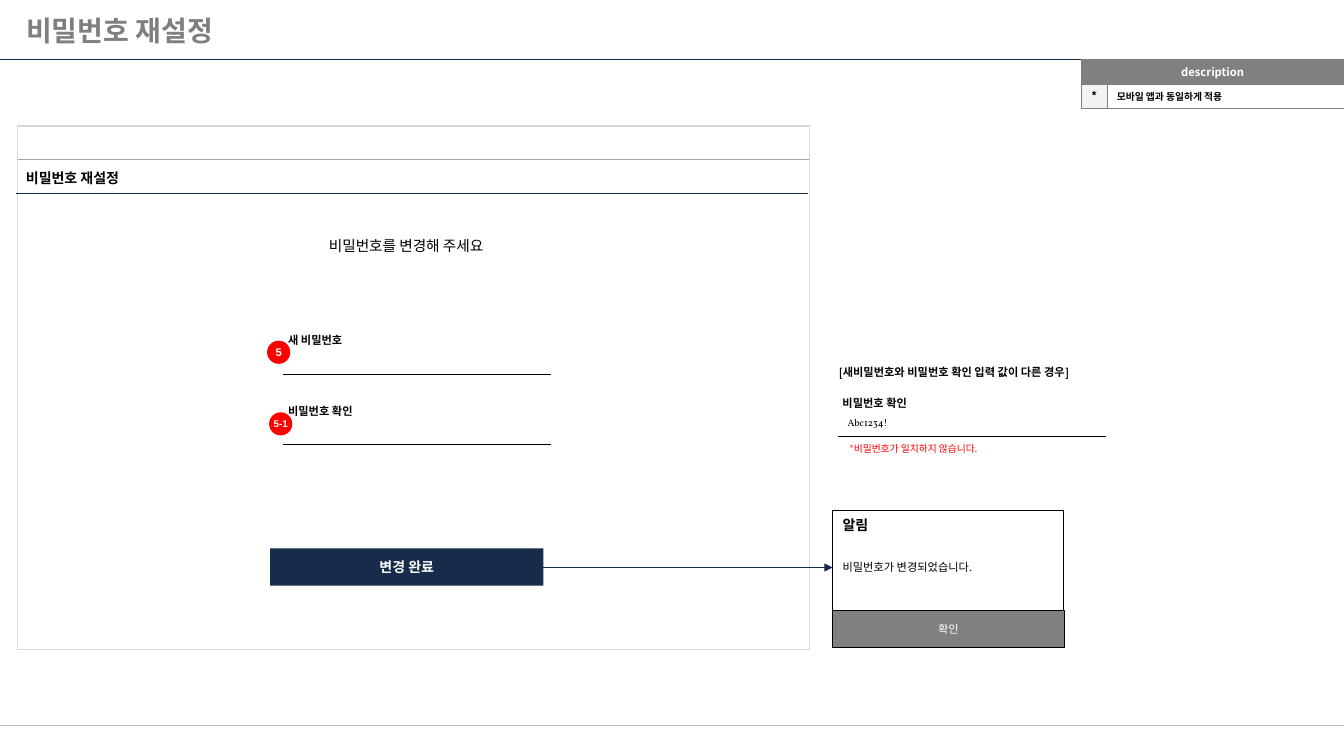
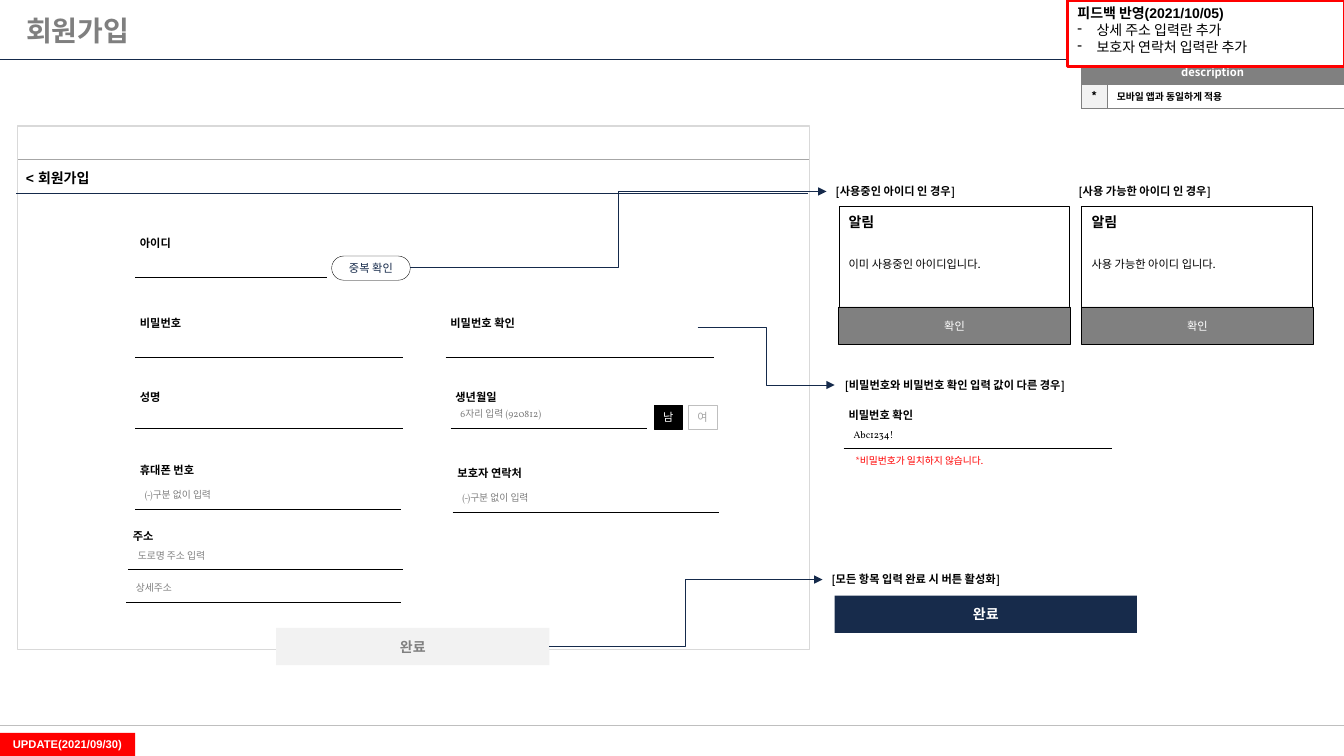
from lxml import etree
from pptx import Presentation
from pptx.dml.color import RGBColor
from pptx.enum.shapes import MSO_CONNECTOR, MSO_SHAPE
from pptx.enum.text import MSO_ANCHOR, PP_ALIGN
from pptx.oxml.ns import qn
from pptx.util import Inches, Pt

RECTANGLE, ROUNDED, OVAL = MSO_SHAPE.RECTANGLE, MSO_SHAPE.ROUNDED_RECTANGLE, MSO_SHAPE.OVAL
STRAIGHT, ELBOW = MSO_CONNECTOR.STRAIGHT, MSO_CONNECTOR.ELBOW
TOP, MIDDLE = MSO_ANCHOR.TOP, MSO_ANCHOR.MIDDLE
LEFT, CENTER = PP_ALIGN.LEFT, PP_ALIGN.CENTER

COLORS = {
    "white": "FFFFFF", "black": "000000", "navy": "172B4B", "rule": "152A4B",
    "title": "7F7F7F", "gray": "808080", "muted": "A6A6A6", "silver": "BFBFBF",
    "border": "D9D9D9", "pale": "F2F2F2", "red": "FF0000",
}
TITLE_FONT, UI_FONT, NOTE_FONT, TABLE_FONT = (
    "League Spartan", "Vollkorn", "Arial", "Noto Sans CJK KR")
COLUMNS, ROWS = 133.33, 75  # grid cells of a tenth of an inch
HAIRLINE = 0.25


def grid(*cells):
    """Turn grid columns or rows into lengths."""
    return [Inches(cell / 10) for cell in cells]


def color(name):
    return RGBColor.from_string(COLORS[name])


class Wireframe:
    """Holds the presentation, the current slide and the shared style."""

    def __init__(self):
        self.presentation = Presentation()
        self.presentation.slide_width, self.presentation.slide_height = grid(COLUMNS, ROWS)
        self.slide = None

    # Basic elements
    def style(self, paragraph, size, ink="black", bold=False, font=UI_FONT, align=LEFT):
        paragraph.alignment = align
        paragraph.font.size = Pt(size)
        paragraph.font.bold = bold
        paragraph.font.name = font
        paragraph.font.color.rgb = color(ink)

    def text(self, x, y, width, words, size=8, height=2.4, **style):
        frame = self.slide.shapes.add_textbox(*grid(x, y, width, height)).text_frame
        frame.word_wrap = True
        frame.text = words
        self.style(frame.paragraphs[0], size, **style)

    def box(self, x, y, width, height, fill, border=None, weight=HAIRLINE,
            kind=RECTANGLE, corner=None):
        shape = self.slide.shapes.add_shape(kind, *grid(x, y, width, height))
        shape.shadow.inherit = False
        shape.fill.solid()
        shape.fill.fore_color.rgb = color(fill)
        if border:
            shape.line.color.rgb = color(border)
            shape.line.width = Pt(weight)
        else:
            shape.line.fill.background()
        if corner is not None:
            shape.adjustments[0] = corner
        return shape

    def button(self, x, y, width, height, words, fill, ink="white", size=8,
               bold=False, font=UI_FONT, **outline):
        frame = self.box(x, y, width, height, fill, **outline).text_frame
        frame.margin_left = frame.margin_right = frame.margin_top = frame.margin_bottom = 0
        frame.vertical_anchor = MIDDLE
        frame.text = words
        self.style(frame.paragraphs[0], size, ink, bold, font, CENTER)

    def line(self, x1, y1, x2, y2, ink="black", weight=HAIRLINE, kind=STRAIGHT):
        connector = self.slide.shapes.add_connector(kind, *grid(x1, y1, x2, y2))
        connector.line.color.rgb = color(ink)
        connector.line.width = Pt(weight)
        etree.SubElement(connector._element.spPr, qn("a:effectLst"))
        return connector

    def arrow(self, x1, y1, x2, y2):
        connector = self.line(x1, y1, x2, y2, "rule", 0.75, ELBOW)
        outline = connector.line._get_or_add_ln()
        etree.SubElement(outline, qn("a:tailEnd"), type="triangle")

    # Shared page furniture
    def page(self, title, heading):
        layout = self.presentation.slide_layouts[5]
        self.slide = self.presentation.slides.add_slide(layout)
        self.line(0, 72, COLUMNS, 72, "silver", 1)
        self.line(0, 5.9, COLUMNS, 5.9, "rule", 0.75)
        self.box(1.7, 12.5, 78.6, 51.9, "white", "border", 0.75)
        self.line(1.8, 15.8, 80.3, 15.8, "muted")
        placeholder = self.slide.shapes.title
        (placeholder.left, placeholder.top,
         placeholder.width, placeholder.height) = grid(1.6, 0.3, 130.3, 5.4)
        frame = placeholder.text_frame
        frame.vertical_anchor = MIDDLE
        frame.text = title
        self.style(frame.paragraphs[0], 20, "title", True, TITLE_FONT)
        self.description()
        self.text(1.6, 16.3, 30, heading, 10, bold=True, font=NOTE_FONT)
        self.line(1.6, 19.2, 80.2, 19.2, "rule")

    def description(self):
        table = self.slide.shapes.add_table(2, 2, *grid(107.3, 5.9, 26, 4.2)).table
        table.first_row = table.horz_banding = False
        for column, width in zip(table.columns, grid(2.5, 23.5)):
            column.width = width
        header, star, note = table.cell(0, 0), table.cell(1, 0), table.cell(1, 1)
        header.merge(table.cell(0, 1))
        for cell, words, fill, ink, size, align in (
                (header, "description", "gray", "white", 8, CENTER),
                (star, "*", "pale", "black", 8, CENTER),
                (note, "모바일 앱과 동일하게 적용", "white", "black", 7, LEFT)):
            cell.text = words
            cell.vertical_anchor = MIDDLE
            self.style(cell.text_frame.paragraphs[0], size, ink, True, TABLE_FONT, align)
            if align == CENTER:
                (cell.margin_left, cell.margin_right,
                 cell.margin_top, cell.margin_bottom) = grid(*[0.4] * 4)
            cell.fill.solid()
            cell.fill.fore_color.rgb = color(fill)
        for cell in table.iter_cells():
            self.cell_borders(cell)

    def cell_borders(self, cell):
        properties = cell._tc.get_or_add_tcPr()
        for position, side in enumerate(("lnL", "lnR", "lnT", "lnB")):
            border = etree.Element(qn("a:" + side), w=str(Pt(HAIRLINE)))
            fill = etree.SubElement(border, qn("a:solidFill"))
            etree.SubElement(fill, qn("a:srgbClr"), val=COLORS["gray"])
            properties.insert(position, border)

    # Wireframe components
    def caption(self, x, y, words):
        self.text(x, y, 28.5, words, bold=True)

    def field(self, x, y, label, width=26.6, drop=4.5, hint="", ink="gray"):
        """An input whose underline starts at x, drop rows below its label."""
        baseline = y + drop
        if label:
            self.text(x - 0.5, y, 12.7, label, bold=True)
        if hint:
            self.text(x, baseline - 2.5, 12.7, hint, 7, 2.2, ink=ink)
        self.line(x, baseline, x + width, baseline)

    def mismatch(self, x, y, words):
        self.caption(x - 0.8, y - 3, words)
        self.field(x, y, "비밀번호 확인", hint="Abc1234!", ink="black")
        self.text(x + 0.2, y + 4.6, 21.4, "*비밀번호가 일치하지 않습니다.", 7, 2.2, ink="red")

    def alert(self, x, y, message):
        self.box(x, y, 22.9, 13.6, "white", "black")
        self.text(x, y + 0.15, 19.9, "알림", 10, bold=True)
        self.text(x, y + 4.5, 22.9, message)
        self.button(x, y + 9.95, 23, 3.7, "확인", "gray", border="black")

    def action(self, x, y, width, words, fill="navy", ink="white"):
        self.button(x, y, width, 3.7, words, fill, ink, 10, True, kind=ROUNDED, corner=0)

    def badge(self, x, y, words, size):
        self.button(x, y, 2.3, 2.3, words, "red", size=size, bold=True,
                    font=NOTE_FONT, kind=OVAL)

    def feedback(self, heading, items):
        shape = self.box(105.9, 0, 27.5, 6.6, "white", "red", 2.25)
        frame = shape.text_frame
        frame.word_wrap = True
        frame.vertical_anchor = TOP
        frame.text = heading
        self.style(frame.paragraphs[0], 10, bold=True, font=NOTE_FONT)
        indent = Inches(0.19)
        for item in items:
            paragraph = frame.add_paragraph()
            paragraph.text = item
            properties = paragraph._p.get_or_add_pPr()
            properties.set("marL", str(indent))
            properties.set("indent", str(-indent))
            etree.SubElement(properties, qn("a:buChar"), char="-")
            self.style(paragraph, 10, font=NOTE_FONT)


def reset_password(wireframe):
    wireframe.page("비밀번호 재설정", "비밀번호 재설정")
    wireframe.text(25.3, 23, 30, "비밀번호를 변경해 주세요", 10.5, font=NOTE_FONT, align=CENTER)
    # Input form
    wireframe.field(28.1, 32.6, "새 비밀번호")
    wireframe.field(28.1, 39.6, "비밀번호 확인")
    wireframe.badge(26.5, 33.8, "5", 8)
    wireframe.badge(26.7, 40.9, "5-1", 7)
    wireframe.action(26.8, 54.4, 27.1, "변경 완료")
    # Outcomes
    wireframe.mismatch(83.1, 38.8, "[새비밀번호와 비밀번호 확인 입력 값이 다른 경우]")
    wireframe.alert(82.6, 50.6, "비밀번호가 변경되었습니다.")
    wireframe.arrow(53.9, 56.3, 82.6, 56.3)


def sign_up(wireframe):
    wireframe.page("회원가입", "< 회원가입")
    # Input form
    phone_hint = "(-)구분 없이 입력"
    wireframe.field(13.4, 23, "아이디", 19)
    wireframe.field(13.4, 30.9, "비밀번호")
    wireframe.field(44.2, 30.9, "비밀번호 확인")
    wireframe.field(13.4, 38.2, "성명", drop=4.3)
    wireframe.field(44.7, 38.2, "생년월일", 19.5, 4.3, "6자리 입력 (920812)")
    wireframe.field(13.4, 45.5, "휴대폰 번호", 26.4, 5, phone_hint)
    wireframe.field(44.9, 45.8, "보호자 연락처", 26.4, 5, phone_hint)
    wireframe.field(12.7, 52, "주소", 27.3, hint="도로명 주소 입력")
    wireframe.field(12.5, 55.2, "", 27.3, hint="상세주소")
    # Buttons
    wireframe.button(32.9, 25.4, 7.8, 2.4, "중복 확인", "white", "navy",
                     border="black", kind=ROUNDED, corner=0.5)
    for x, words, fill, ink, border in ((64.9, "남", "black", "white", "black"),
                                        (68.3, "여", "white", "muted", "silver")):
        wireframe.button(x, 40.2, 2.8, 2.4, words, fill, ink,
                         border=border, kind=ROUNDED, corner=0)
    wireframe.action(27.4, 62.3, 27.1, "완료", "pale", "gray")
    # Outcomes
    for x, gap, words, message in (
            (83.2, 1.2, "[사용중인 아이디 인 경우]", "이미 사용중인 아이디입니다."),
            (107.3, 1.2, "[사용 가능한 아이디 인 경우]", "사용 가능한 아이디 입니다.")):
        wireframe.caption(x - gap, 17.8, words)
        wireframe.alert(x, 20.5, message)
    wireframe.mismatch(83.7, 40, "[비밀번호와 비밀번호 확인 입력 값이 다른 경우]")
    wireframe.caption(81.6, 56.3, "[모든 항목 입력 완료 시 버튼 활성화]")
    wireframe.action(82.8, 59.1, 30, "완료")
    for ends in ((40.7, 26.5, 82, 19), (69.2, 32.5, 82.8, 38.2), (54.5, 64.1, 81.6, 57.5)):
        wireframe.arrow(*ends)
    # Revision notes
    wireframe.feedback("피드백 반영(2021/10/05)",
                       ("상세 주소 입력란 추가", "보호자 연락처 입력란 추가"))
    wireframe.button(0, 72.7, 13.4, 2.3, "UPDATE(2021/09/30)", "red",
                     bold=True, font=NOTE_FONT)


def main():
    wireframe = Wireframe()
    reset_password(wireframe)
    sign_up(wireframe)
    wireframe.presentation.save("out.pptx")


if __name__ == "__main__":
    main()
